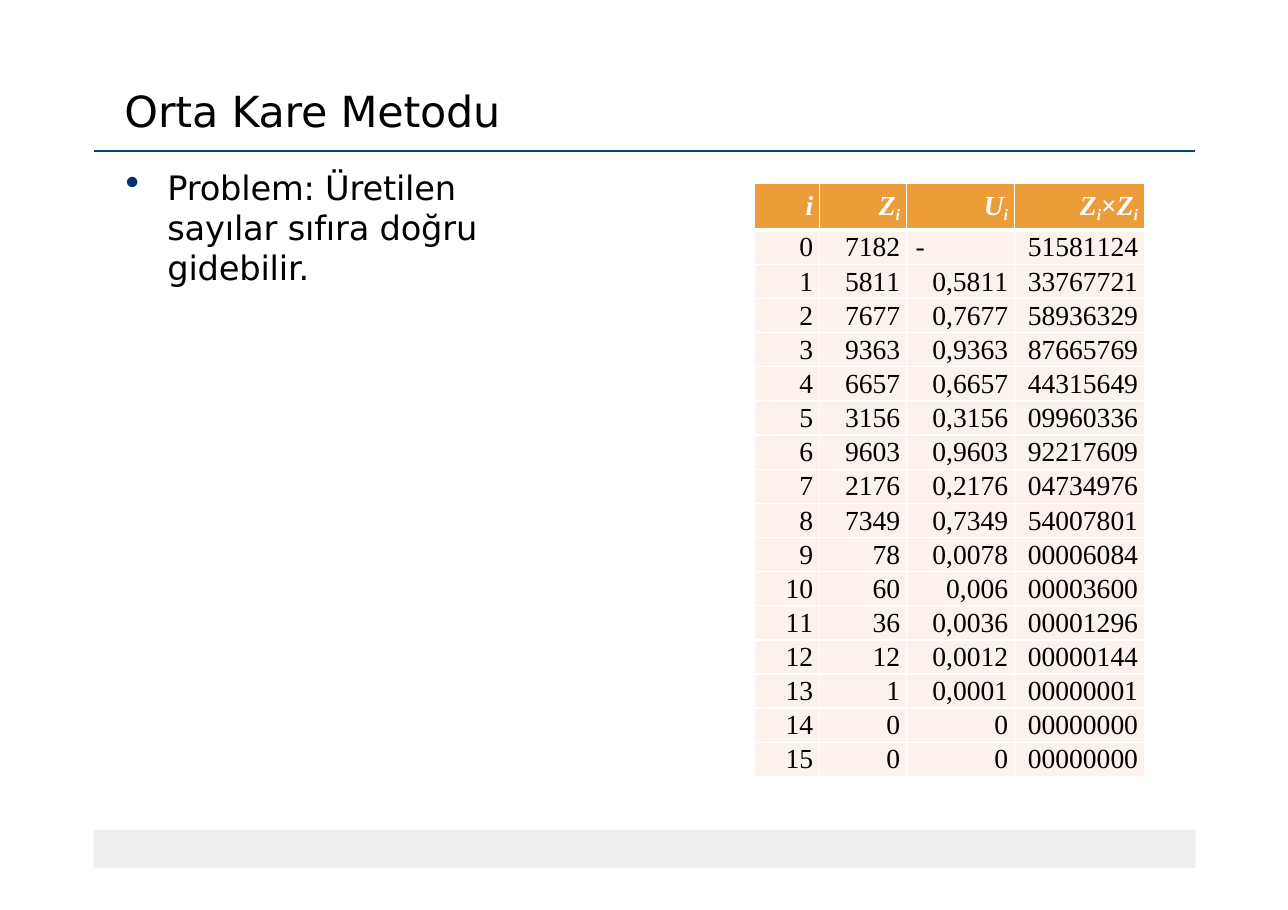
from dataclasses import dataclass

from lxml import etree
from pptx import Presentation
from pptx import util as u
from pptx.dml.color import RGBColor
from pptx.enum import shapes, text
from pptx.oxml import ns


@dataclass(frozen=True)
class Theme:
    ink: str = "000000"
    paper: str = "FFFFFF"
    rule: str = "004479"
    bullet: str = "003366"
    footer: str = "EEEEEE"
    header: str = "ED9C3A"
    body_row: str = "FBF1ED"
    sans: str = "DejaVu Sans"
    serif: str = "Times New Roman"
    title_size: float = 28
    body_size: float = 22
    table_size: float = 18


THEME = Theme()
RIGHT = text.PP_ALIGN.RIGHT
HEADERS = ["i", "Zi", "Ui", "Zi×Zi"]
COLUMN_WIDTHS = [0.59, 0.79, 0.98, 1.18]
HEADER_HEIGHT, ROW_HEIGHT = 0.43, 0.31
ROWS = [
    ("7182", "-", "51581124"),
    ("5811", "0,5811", "33767721"),
    ("7677", "0,7677", "58936329"),
    ("9363", "0,9363", "87665769"),
    ("6657", "0,6657", "44315649"),
    ("3156", "0,3156", "09960336"),
    ("9603", "0,9603", "92217609"),
    ("2176", "0,2176", "04734976"),
    ("7349", "0,7349", "54007801"),
    ("78", "0,0078", "00006084"),
    ("60", "0,006", "00003600"),
    ("36", "0,0036", "00001296"),
    ("12", "0,0012", "00000144"),
    ("1", "0,0001", "00000001"),
    ("0", "0", "00000000"),
    ("0", "0", "00000000"),
]


def add_xml(parent, tag, **attributes):
    return etree.SubElement(parent, ns.qn(tag), attributes)


def add_run(para, words, font, size, color, spacing=0, baseline=0, bold=False, italic=False):
    span = para.add_run()
    span.text = words
    span.font.name = font
    span.font.size = u.Pt(size)
    span.font.bold = bold
    span.font.italic = italic
    span.font.color.rgb = RGBColor.from_string(color)
    properties = span._r.get_or_add_rPr()
    if spacing:
        properties.set("spc", str(round(spacing * 100)))
    if baseline:
        properties.set("baseline", str(baseline * 1000))


def add_text_box(page, box, top_inset):
    frame = page.shapes.add_textbox(*map(u.Inches, box)).text_frame
    frame.word_wrap = True
    frame.margin_left = frame.margin_right = frame.margin_bottom = 0
    frame.margin_top = u.Inches(top_inset)
    return frame.paragraphs[0]


def add_footer(page, box):
    band = page.shapes.add_shape(shapes.MSO_SHAPE.RECTANGLE, *map(u.Inches, box))
    band.shadow.inherit = False
    band.fill.solid()
    band.fill.fore_color.rgb = RGBColor.from_string(THEME.footer)
    band.line.fill.background()


def add_title(page, box):
    left, top, width, height = box
    rule = page.shapes.add_connector(
        shapes.MSO_CONNECTOR.STRAIGHT,
        *map(u.Inches, (left, top + height, left + width, top + height)))
    rule.line.color.rgb = RGBColor.from_string(THEME.rule)
    rule.line.width = u.Pt(1)
    add_xml(rule._element.spPr, "a:effectLst")

    para = add_text_box(page, (left + 0.28, top, 3.65, 0.49), 0.01)
    para.space_before = u.Pt(1)
    add_run(para, "Orta Kare Metodu", THEME.sans, THEME.title_size, THEME.ink, -0.1)


def add_problem(page, box):
    para = add_text_box(page, box, 0.03)
    para.line_spacing = u.Pt(26)
    para.space_before = u.Pt(2.2)
    properties = para._p.get_or_add_pPr()
    properties.set("marL", str(u.Inches(0.39)))
    properties.set("indent", str(u.Inches(-0.38)))
    add_xml(add_xml(properties, "a:buClr"), "a:srgbClr", val=THEME.bullet)
    add_xml(properties, "a:buSzPct", val="118000")
    add_xml(properties, "a:buChar", char="•")
    add_run(para, "Problem: Üretilen sayılar sıfıra doğru gidebilir.",
            THEME.sans, THEME.body_size, THEME.ink, -0.1)


def style_cell(cell, fill, top_inset, top_border=1, bottom_border=1):
    cell.margin_left = cell.margin_bottom = 0
    cell.margin_right = u.Inches(0.06)
    cell.margin_top = u.Inches(top_inset)
    properties = cell._tc.get_or_add_tcPr()
    for side, width in zip("LRTB", (1, 1, top_border, bottom_border)):
        line = add_xml(properties, f"a:ln{side}", w=str(u.Pt(width)))
        add_xml(add_xml(line, "a:solidFill"), "a:srgbClr", val=THEME.paper)
    cell.fill.solid()
    cell.fill.fore_color.rgb = RGBColor.from_string(fill)


def fill_header(cell, label):
    style_cell(cell, THEME.header, 0.07, bottom_border=3)
    para = cell.text_frame.paragraphs[0]
    para.alignment = RIGHT
    para.space_before = u.Pt(5.2)
    for position, letter in enumerate(label):
        subscript = letter == "i" and position > 0
        add_run(para, letter, THEME.serif, THEME.table_size, THEME.paper,
                baseline=-21 if subscript else 0, bold=True, italic=letter != "×")


def fill_value(cell, value, first_row):
    style_cell(cell, THEME.body_row, 0.01, top_border=3 if first_row else 1)
    para = cell.text_frame.paragraphs[0]
    para.line_spacing = u.Pt(20.6)
    para.space_before = u.Pt(0.8)
    if value == "-":
        para._p.get_or_add_pPr().set("marL", str(u.Inches(0.08)))
    else:
        para.alignment = RIGHT
    head, pair, tail = value.partition("11")
    pieces = [(head, 0), ("1", -0.7), ("1" + tail, 0)] if pair else [(value, 0)]
    for digits, spacing in pieces:
        if digits:
            add_run(para, digits, THEME.serif, THEME.table_size, THEME.ink, spacing)


def add_number_table(page, left, top):
    height = HEADER_HEIGHT + ROW_HEIGHT * len(ROWS)
    box = (left, top, sum(COLUMN_WIDTHS), height)
    table = page.shapes.add_table(
        len(ROWS) + 1, len(HEADERS), *map(u.Inches, box)).table
    table.first_row = table.horz_banding = False
    for column, width in zip(table.columns, COLUMN_WIDTHS):
        column.width = u.Inches(width)
    for index, row in enumerate(table.rows):
        row.height = u.Inches(ROW_HEIGHT if index else HEADER_HEIGHT)
    for column, label in enumerate(HEADERS):
        fill_header(table.cell(0, column), label)
    for index, values in enumerate(ROWS):
        for column, value in enumerate((str(index), *values)):
            fill_value(table.cell(index + 1, column), value, index == 0)


def main():
    deck = Presentation()
    deck.slide_width = u.Inches(11.69)
    deck.slide_height = u.Inches(8.26)
    page = deck.slides.add_slide(deck.slide_layouts[6])
    add_footer(page, (0.85, 7.53, 10, 0.35))
    add_title(page, (0.85, 0.76, 10, 0.61))
    add_problem(page, (1.13, 1.49, 3.5, 1.12))
    add_number_table(page, 6.85, 1.66)
    deck.save("out.pptx")


if __name__ == "__main__":
    main()
